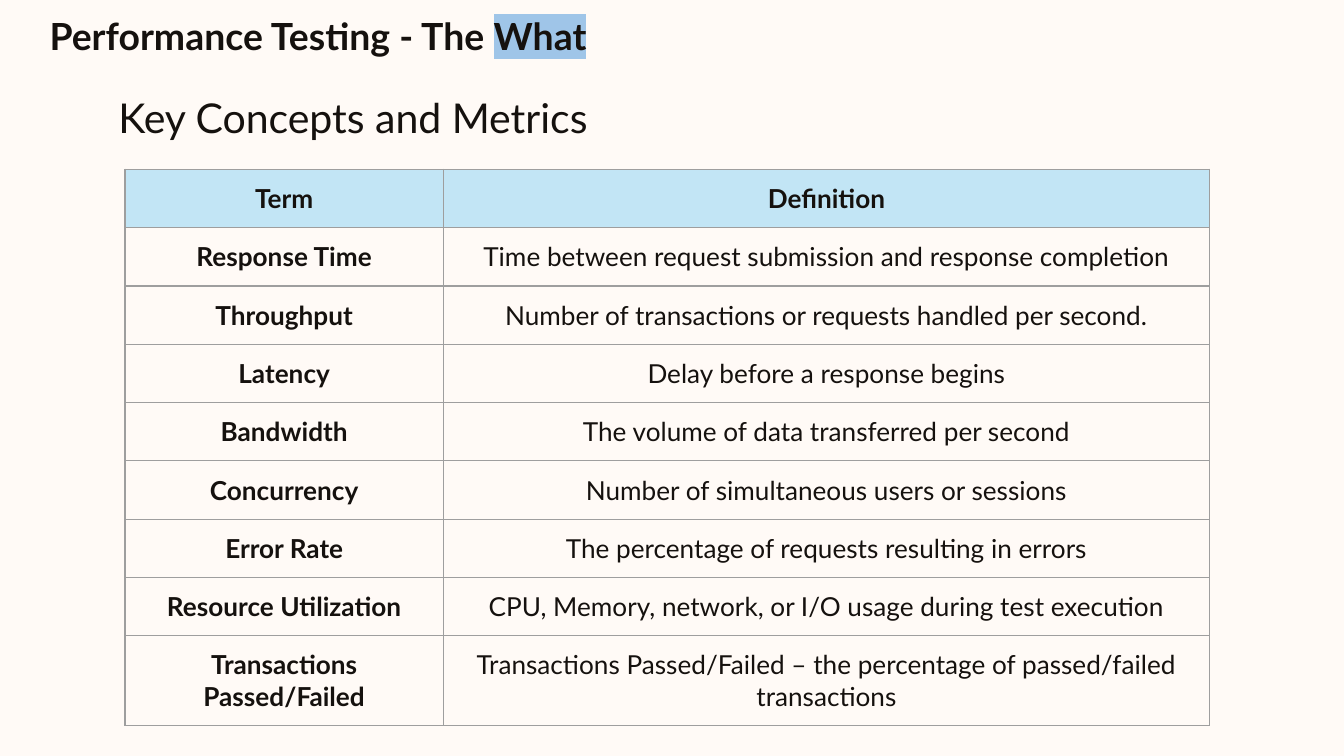
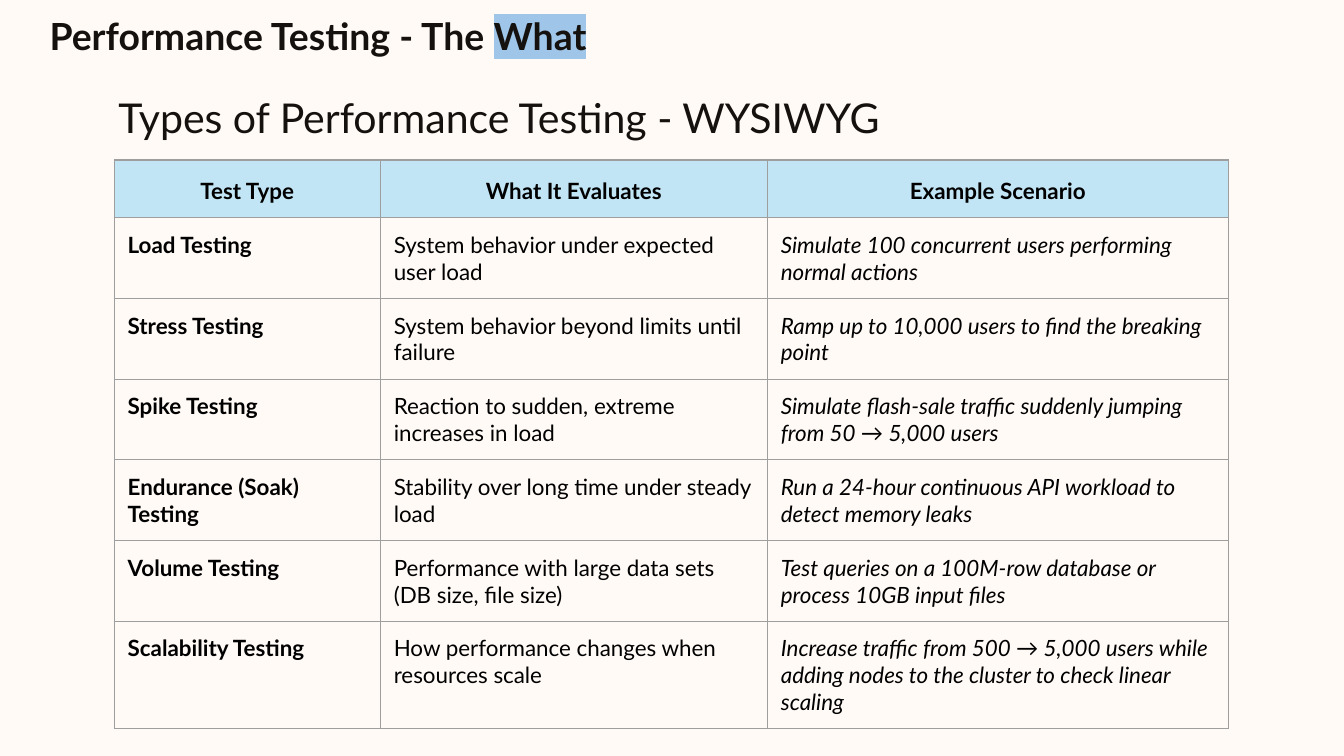
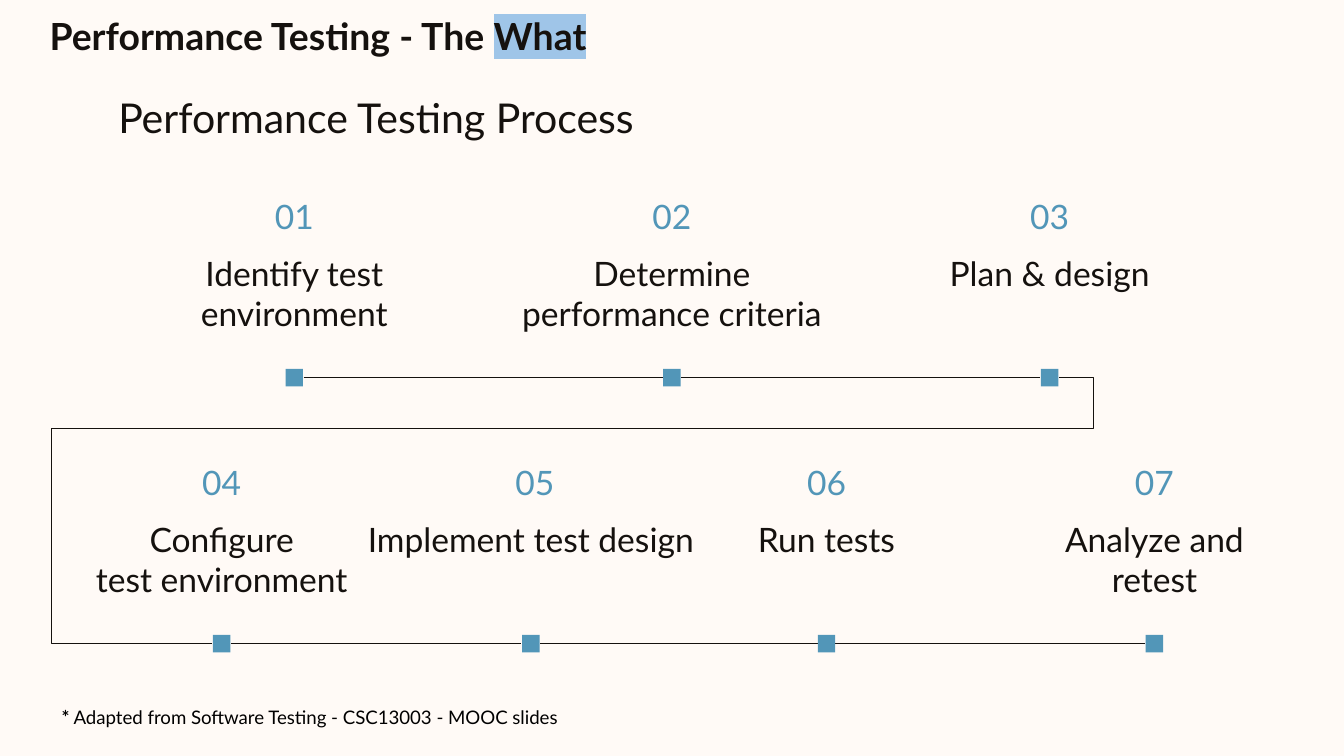
from dataclasses import dataclass

from lxml.etree import SubElement
from pptx import Presentation
from pptx.dml.color import RGBColor
from pptx.enum.shapes import MSO_CONNECTOR, MSO_SHAPE
from pptx.enum.text import MSO_ANCHOR, MSO_AUTO_SIZE, PP_ALIGN
from pptx.oxml.ns import qn
from pptx.util import Inches, Pt

FONT = "Lato"
PAPER, INK, BLACK = "FFFAF6", "15110E", "000000"
ACCENT, HEADER, HIGHLIGHT, BORDER = "5296B8", "C2E5F5", "9FC5E8", "9E9E9E"
STEP_WIDTH = 2.81
MARKER_SIZE = 0.13
MARKER_GAP = 0.07


@dataclass
class Step:
    number: str
    centre: float
    lines: list
    label_width: float = STEP_WIDTH
    number_shift: float = 0


FIRST_STEPS = [
    Step("01", 2.19, ["Identify test environment"]),
    Step("02", 5.0, ["Determine", "performance criteria"], label_width=3.43),
    Step("03", 7.81, ["Plan & design"]),
]
SECOND_STEPS = [
    Step("04", 1.65, ["Configure", "test environment"]),
    Step("05", 3.95, ["Implement test design"], number_shift=0.03),
    Step("06", 6.15, ["Run tests"]),
    Step("07", 8.59, ["Analyze and", "retest"]),
]

METRICS = [
    ("Term", "Definition"),
    ("Response Time", "Time between request submission and response completion"),
    ("Throughput", "Number of transactions or requests handled per second."),
    ("Latency", "Delay before a response begins"),
    ("Bandwidth", "The volume of data transferred per second"),
    ("Concurrency", "Number of simultaneous users or sessions"),
    ("Error Rate", "The percentage of requests resulting in errors"),
    ("Resource Utilization", "CPU, Memory, network, or I/O usage during test execution"),
    ("Transactions Passed/Failed",
     "Transactions Passed/Failed – the percentage of passed/failed transactions"),
]

TEST_TYPES = [
    ("Test Type", "What It Evaluates", "Example Scenario"),
    ("Load Testing", "System behavior under expected user load",
     "Simulate 100 concurrent users performing normal actions"),
    ("Stress Testing", "System behavior beyond limits until failure",
     "Ramp up to 10,000 users to find the breaking point"),
    ("Spike Testing", "Reaction to sudden, extreme increases in load",
     "Simulate flash-sale traffic suddenly jumping from 50 → 5,000 users"),
    ("Endurance (Soak) Testing", "Stability over long time under steady load",
     "Run a 24-hour continuous API workload to detect memory leaks"),
    ("Volume Testing", "Performance with large data sets (DB size, file size)",
     "Test queries on a 100M-row database or process 10GB input files"),
    ("Scalability Testing", "How performance changes when resources scale",
     "Increase traffic from 500 → 5,000 users while adding nodes to the cluster "
     "to check linear scaling"),
]


def color(value):
    return RGBColor.from_string(value)


def add_span(para, text, size, ink=INK, bold=False, italic=False):
    span = para.add_run()
    span.text = text
    font = span.font
    font.name, font.size, font.bold, font.italic = FONT, Pt(size), bold, italic
    font.color.rgb = color(ink)
    return span


def highlight(span, fill):
    mark = SubElement(span._r.rPr, qn("a:highlight"))
    SubElement(mark, qn("a:srgbClr"), val=fill)
    span._r.rPr.find(qn("a:solidFill")).addnext(mark)


def format_frame(frame):
    frame.word_wrap = True
    frame.auto_size = MSO_AUTO_SIZE.NONE
    frame.vertical_anchor = MSO_ANCHOR.TOP
    frame.margin_left = frame.margin_right = Inches(0.1)
    frame.margin_top = frame.margin_bottom = Inches(0.1)


def add_box(page, left, top, width, height):
    box = page.shapes.add_textbox(Inches(left), Inches(top), Inches(width), Inches(height))
    format_frame(box.text_frame)
    return box


def add_centred_text(page, centre, top, width, height, lines, ink):
    frame = add_box(page, centre - width / 2, top, width, height).text_frame
    for index, line in enumerate(lines):
        para = frame.add_paragraph() if index else frame.paragraphs[0]
        para.alignment = PP_ALIGN.CENTER
        add_span(para, line, 18, ink)


def add_section_heading(page):
    """Build the shared heading, then hand it to the layout of the page."""
    box = add_box(page, 0.27, 0, 7.52, 0.59)
    para = box.text_frame.paragraphs[0]
    add_span(para, "Performance Testing - The ", 20, bold=True)
    highlight(add_span(para, "What", 20, bold=True), HIGHLIGHT)
    box.element.nvSpPr.cNvPr.set("id", "20")
    page.slide_layout.shapes.element.append(box.element)


def add_page(deck, title_text):
    page = deck.slides.add_slide(deck.slide_layouts[5])
    title = page.shapes.title
    title.left, title.top = Inches(0.78), Inches(0.59)
    title.width, title.height = Inches(8.44), Inches(0.6)
    format_frame(title.text_frame)
    para = title.text_frame.paragraphs[0]
    para.alignment = PP_ALIGN.LEFT
    add_span(para, title_text, 22)
    return page


def add_cell_borders(cell):
    properties = cell._tc.get_or_add_tcPr()
    for side in ("lnL", "lnR", "lnT", "lnB"):
        line = SubElement(properties, qn(f"a:{side}"), w=str(Pt(0.75)))
        fill = SubElement(line, qn("a:solidFill"))
        SubElement(fill, qn("a:srgbClr"), val=BORDER)


def add_grid(page, left, top, widths, rows, size, ink, body_align, header_spacing=None):
    """Add a table with a filled header, a bold first and an italic third column."""
    row_height = 0.42
    table = page.shapes.add_table(
        len(rows), len(widths), Inches(left), Inches(top),
        Inches(sum(widths)), Inches(row_height * len(rows))).table
    table.horz_banding = False
    for column, width in zip(table.columns, widths):
        column.width = Inches(width)
    for row_index, texts in enumerate(rows):
        table.rows[row_index].height = Inches(row_height)
        is_header = row_index == 0
        for column_index, text in enumerate(texts):
            cell = table.cell(row_index, column_index)
            cell.margin_left = cell.margin_right = Inches(0.1)
            cell.margin_top = cell.margin_bottom = Inches(0.1)
            add_cell_borders(cell)
            para = cell.text_frame.paragraphs[0]
            if is_header:
                cell.fill.solid()
                cell.fill.fore_color.rgb = color(HEADER)
                para.alignment = PP_ALIGN.CENTER
                para.line_spacing = header_spacing
            else:
                cell.fill.background()
                para.alignment = body_align
            add_span(para, text, size, ink, bold=is_header or column_index == 0,
                     italic=not is_header and column_index == 2)


def add_line(page, start, end, kind=MSO_CONNECTOR.STRAIGHT):
    line = page.shapes.add_connector(kind, *map(Inches, start + end))
    line.line.color.rgb = color(INK)
    line.line.width = Pt(0.75)
    SubElement(line.element.spPr, qn("a:effectLst"))
    return line


def add_return_line(page, start, end, right, middle, left):
    """Run from start out to right, back at height middle to left, then to end."""
    line = add_line(page, start, end, MSO_CONNECTOR.ELBOW)
    width, height = start[0] - end[0], end[1] - start[1]
    shares = [(start[0] - right) / width, (middle - start[1]) / height,
              (start[0] - left) / width]
    geometry = line.element.spPr.find(qn("a:prstGeom"))
    geometry.set("prst", "bentConnector5")
    guides = geometry.find(qn("a:avLst"))
    if guides is None:
        guides = SubElement(geometry, qn("a:avLst"))
    for index, share in enumerate(shares, 1):
        SubElement(guides, qn("a:gd"), name=f"adj{index}", fmla=f"val {round(share * 100000)}")


def add_marker(page, centre, middle):
    marker = page.shapes.add_shape(
        MSO_SHAPE.RECTANGLE, Inches(centre - MARKER_SIZE / 2),
        Inches(middle - MARKER_SIZE / 2), Inches(MARKER_SIZE), Inches(MARKER_SIZE))
    marker.shadow.inherit = False
    marker.fill.solid()
    marker.fill.fore_color.rgb = color(ACCENT)
    marker.line.fill.background()


def add_step_row(page, steps, top, middle, joints):
    """Add numbers, labels and markers; joints are the steps that lines run between."""
    for start, end in zip(joints, joints[1:]):
        add_line(page, (start.centre + MARKER_GAP, middle), (end.centre - MARKER_GAP, middle))
    for step in steps:
        add_centred_text(page, step.centre + step.number_shift, top, STEP_WIDTH, 0.5,
                         [step.number], ACCENT)
        add_centred_text(page, step.centre, top + 0.42, step.label_width, 0.81,
                         step.lines, INK)
        add_marker(page, step.centre, middle)


def add_footnote(page):
    box = add_box(page, 0.36, 5.17, 6.79, 0.37)
    box.text_frame.auto_size = MSO_AUTO_SIZE.SHAPE_TO_FIT_TEXT
    para = box.text_frame.paragraphs[0]
    add_span(para, "*", 10, BLACK, bold=True)
    add_span(para, " Adapted from Software Testing - CSC13003 - MOOC slides", 10, BLACK)


def main():
    deck = Presentation()
    deck.slide_width = Inches(10)
    deck.slide_height = Inches(10) * 9 // 16
    background = deck.slide_master.background.fill
    background.solid()
    background.fore_color.rgb = color(PAPER)

    page = add_page(deck, "Key Concepts and Metrics")
    add_section_heading(page)
    add_grid(page, 0.93, 1.26, [2.37, 5.7], METRICS, 14, INK, PP_ALIGN.CENTER)

    page = add_page(deck, "Types of Performance Testing - WYSIWYG")
    add_grid(page, 0.85, 1.19, [1.98, 2.88, 3.43], TEST_TYPES, 12, BLACK,
             PP_ALIGN.LEFT, header_spacing=1.15)

    page = add_page(deck, "Performance Testing Process")
    upper, lower = 2.81, 4.79
    add_return_line(page, (FIRST_STEPS[-1].centre + MARKER_GAP, upper),
                    (SECOND_STEPS[0].centre - MARKER_GAP, lower),
                    right=8.14, middle=3.19, left=0.38)
    add_step_row(page, FIRST_STEPS, 1.36, upper, FIRST_STEPS)
    configure, implement, _, analyze = SECOND_STEPS
    add_step_row(page, SECOND_STEPS, 3.34, lower, [configure, implement, analyze])
    add_footnote(page)

    deck.save("out.pptx")


if __name__ == "__main__":
    main()
